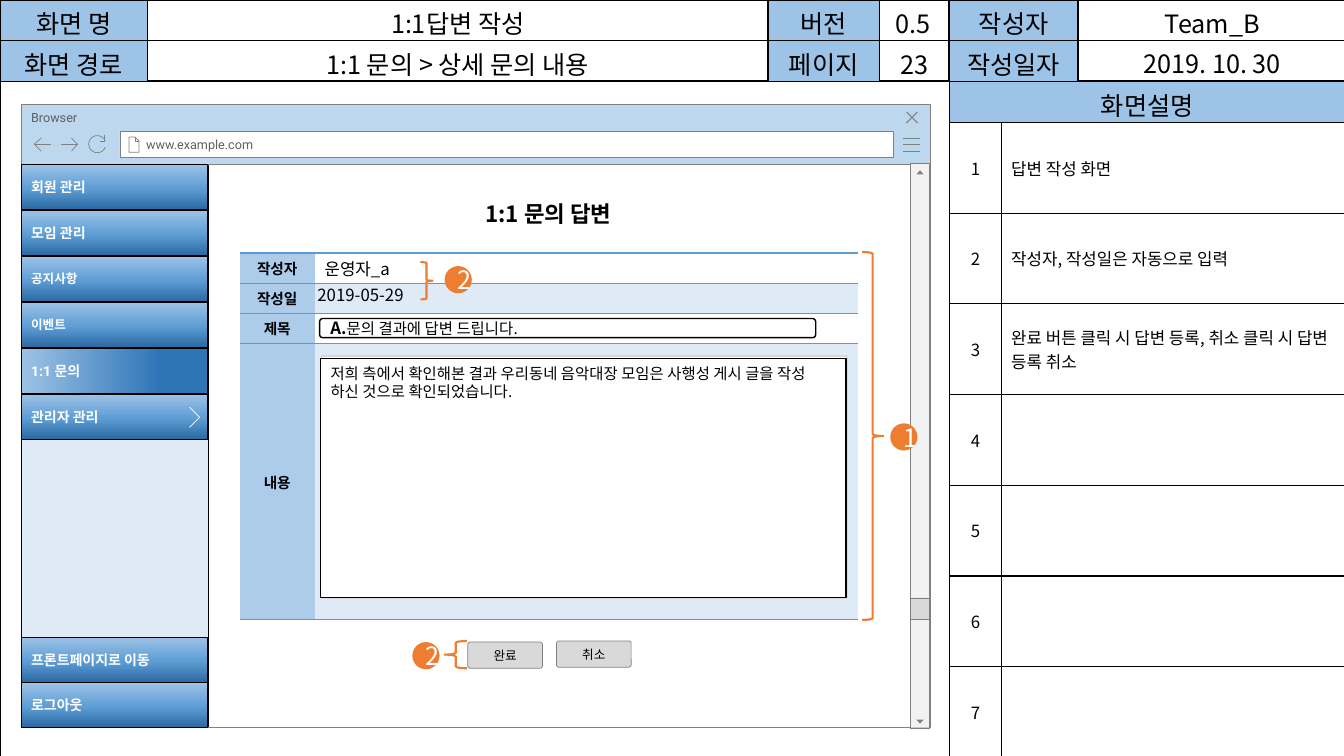
import math

from pptx import Presentation
from pptx.dml.color import RGBColor
from pptx.enum.shapes import MSO_SHAPE
from pptx.enum.text import MSO_ANCHOR, PP_ALIGN
from pptx.oxml import parse_xml
from pptx.oxml.ns import qn
from pptx.util import Inches, Pt

RECT, ROUND, OVAL = MSO_SHAPE.RECTANGLE, MSO_SHAPE.ROUNDED_RECTANGLE, MSO_SHAPE.OVAL
BRACE, TRIANGLE = MSO_SHAPE.LEFT_BRACE, MSO_SHAPE.ISOSCELES_TRIANGLE
LEFT, CENTER = PP_ALIGN.LEFT, PP_ALIGN.CENTER
TOP, MIDDLE = MSO_ANCHOR.TOP, MSO_ANCHOR.MIDDLE
NS = "http://schemas.openxmlformats.org/drawingml/2006/main"


class Theme:
    font, ui_font = "Noto Sans CJK KR", "Roboto"
    black, white, gray, ui_text = "000000", "FFFFFF", "808080", "5F5F5F"
    header, bar, pale, label = "9DC3E6", "BDD7EE", "DEEBF7", "ACCCEA"
    blue, orange, button, track = "5B9BD5", "ED7D31", "D9D9D9", "F2F2F2"
    menu_stops = [(0, "2A69A2"), (48, "609ED6"), (100, "9DC3E6")]
    active_stops = [(0, "2E75B6"), (25, "2E75B6"), (100, "9DC3E6")]
    heading, title, body, field, row_label, menu, small = 18, 16, 12, 11, 10.5, 10, 9


HEADER_COLS, HEADER_ROWS = [1.46, 6.16, 1.1, 0.7, 1.29, 2.65], [0.4, 0.4]
SPEC_COLS = [1.46, 6.16, 1.1, 0.7, 0.51, 0.76, 2.65]
SPEC_ROWS = [0.405] * 3 + [0.9] * 7
LABELS = [("화면 명", "버전", "작성자"), ("화면 경로", "페이지", "작성일자")]  # columns 0, 2, 4
PROJECT = [(0, 3, "0.5"), (0, 5, "Team_B"), (1, 5, "2019. 10. 30")]  # row, column, text
SCREEN = [(0, 1, "1:1답변 작성"), (1, 1, "1:1 문의 > 상세 문의 내용"), (1, 3, "23")]
NOTES_TITLE = "화면설명"
NOTES = ["답변 작성 화면", "작성자, 작성일은 자동으로 입력",
         "완료 버튼 클릭 시 답변 등록, 취소 클릭 시 답변 등록 취소", "", "", "", ""]
FORM_COLS, FORM_ROWS = [0.74, 5.39], [0.3, 0.3, 0.3, 2.74]
FORM = [("작성자", "운영자_a"), ("작성일", ""), ("제목", ""), ("내용", "")]
MENU = [("회원 관리", Theme.menu), ("모임 관리", Theme.menu), ("공지사항", Theme.small),
        ("이벤트", Theme.small), ("1:1 문의", Theme.menu), ("관리자 관리", Theme.menu)]
ACTIVE = "1:1 문의"
MENU_BOTTOM = ["프론트페이지로 이동", "로그아웃"]
BUTTONS = [("취소", 5.52, 6.36), ("완료", 4.64, 6.37)]
BRACES = [(8.55, 2.5, 0.21, 3.65, 180), (4.41, 6.36, 0.22, 0.27, 0), (4.17, 2.6, 0.12, 0.37, 180)]
MARKERS = [("2", 4.09, 6.37), ("2", 4.41, 2.64), ("1", 8.83, 4.2)]
ARC = [(0.965 + 0.085 * math.cos(math.radians(a)), 1.43 + 0.085 * math.sin(math.radians(a)))
       for a in range(20, 341, 16)]
ICONS = [  # line weight, strokes
    (0.5, [[(8.96, y), (9.13, y)] for y in (1.37, 1.43, 1.5)]),
    (0.75, [[(9.1, 1.11), (8.99, 1.22)], [(8.99, 1.11), (9.1, 1.22)]]),
    (0.5, [[(1.34, 1.36), (1.34, 1.4), (1.38, 1.4)],
           [(1.28, 1.36), (1.28, 1.51), (1.38, 1.51), (1.38, 1.4), (1.34, 1.36), (1.28, 1.36)]]),
    (0.5, [[(0.41, 1.5), (0.34, 1.43), (0.41, 1.37)], [(0.35, 1.43), (0.51, 1.43)]]),
    (0.5, [[(0.71, 1.37), (0.77, 1.43), (0.71, 1.5)], [(0.77, 1.43), (0.61, 1.43)]]),
    (0.5, [[(1.04, 1.34), (1.04, 1.4), (0.99, 1.4)], ARC]),
]


def rgb(color):
    return RGBColor.from_string(color)


def write(tf, runs, align=LEFT, color=Theme.black, font=Theme.font):
    """Fill the first paragraph with (text, size, bold) runs."""
    p = tf.paragraphs[0]
    p.alignment = align
    for text, size, bold in runs:
        r = p.add_run()
        r.text = text
        r.font.size, r.font.bold, r.font.name = Pt(size), bold, font
        r.font.color.rgb = rgb(color)
        r._r.get_or_add_rPr().find(qn("a:latin")).addnext(
            parse_xml(f'<a:ea xmlns:a="{NS}" typeface="{Theme.font}"/>'))


def style(sp, fill, line, weight):
    sp.shadow.inherit = False
    if fill:
        sp.fill.solid()
        sp.fill.fore_color.rgb = rgb(fill)
    else:
        sp.fill.background()
    if line:
        sp.line.color.rgb = rgb(line)
        sp.line.width = Pt(weight)
    else:
        sp.line.fill.background()


def add(s, kind, x, y, w, h, fill=None, line=None, weight=0.5, runs=(), anchor=MIDDLE,
        left=0.1, right=0.1, **text):
    sp = s.shapes.add_shape(kind, Inches(x), Inches(y), Inches(w), Inches(h))
    style(sp, fill, line, weight)
    if runs:
        tf = sp.text_frame
        tf.word_wrap, tf.vertical_anchor = True, anchor
        tf.margin_left, tf.margin_right = Inches(left), Inches(right)
        write(tf, runs, **text)
    return sp


def add_strokes(s, strokes, line, weight):
    paths = [[(Inches(x), Inches(y)) for x, y in stroke] for stroke in strokes]
    fb = s.shapes.build_freeform(*paths[0][0])
    for i, points in enumerate(paths):
        if i:
            fb.move_to(*points[0])
        fb.add_line_segments(points[1:], close=False)
    style(fb.convert_to_shape(), None, line, weight)


def add_grid(s, x, y, cols, rows, **borders):
    """Add a plain table; borders names a colour for each of L, R, T and B."""
    table = s.shapes.add_table(len(rows), len(cols), Inches(x), Inches(y),
                               Inches(sum(cols)), Inches(sum(rows))).table
    table.first_row = table.horz_banding = False
    for column, width in zip(table.columns, cols):
        column.width = Inches(width)
    for row, height in zip(table.rows, rows):
        row.height = Inches(height)
    for cell in table.iter_cells():
        cell.fill.background()
        cell.vertical_anchor = MIDDLE
        cell.margin_top = cell.margin_bottom = 0
        for i, side in enumerate("LRTB"):
            color = borders.get(side)
            paint = (f'<a:solidFill><a:srgbClr val="{color}"/></a:solidFill>'
                     if color else "<a:noFill/>")
            cell._tc.get_or_add_tcPr().insert(
                i, parse_xml(f'<a:ln{side} xmlns:a="{NS}" w="12700">{paint}</a:ln{side}>'))
    return table


def set_cell(cell, text, size, align=LEFT, fill=None, bold=False):
    if fill:
        cell.fill.solid()
        cell.fill.fore_color.rgb = rgb(fill)
    if size == Theme.heading:
        cell.margin_top = Inches(0.04)
    if text:
        write(cell.text_frame, [(text, size, bold)], align)
    else:
        cell.text_frame.paragraphs[0].font.size = Pt(size)


def add_heading_grid(s, x, cols, rows, values):
    """Add a black-ruled table whose first two rows hold the labels and the values."""
    table = add_grid(s, x, 0, cols, rows, **dict.fromkeys("LRTB", Theme.black))
    for r, names in enumerate(LABELS):
        for i, name in enumerate(names):
            set_cell(table.cell(r, 2 * i), name, Theme.heading, CENTER, Theme.header)
    for r, c, text in values:
        set_cell(table.cell(r, c), text, Theme.heading, CENTER)
    return table


def add_menu_item(s, text, size, y):
    sp = add(s, RECT, 0.21, y, 1.85, 0.45, Theme.blue, Theme.black, right=0.25,
             runs=[(text, size, True)], color=Theme.white, font=Theme.ui_font)
    stops, angle = (Theme.active_stops, 180) if text == ACTIVE else (Theme.menu_stops, 270)
    gs = "".join(f'<a:gs pos="{p * 1000}"><a:srgbClr val="{c}"/></a:gs>' for p, c in stops)
    spPr = sp._element.spPr
    spPr.replace(spPr.find(qn("a:solidFill")), parse_xml(
        f'<a:gradFill xmlns:a="{NS}"><a:gsLst>{gs}</a:gsLst>'
        f'<a:lin ang="{angle * 60000}" scaled="0"/></a:gradFill>'))


def add_spec_tables(s):
    add_heading_grid(s, -0.01, HEADER_COLS, HEADER_ROWS, PROJECT)
    table = add_heading_grid(s, 0, SPEC_COLS, SPEC_ROWS, SCREEN)
    merges = [(0, 4, 0, 5), (1, 4, 1, 5), (2, 0, 9, 3), (2, 4, 2, 6)]
    merges += [(r, 5, r, 6) for r in range(3, 10)]
    for r1, c1, r2, c2 in merges:
        table.cell(r1, c1).merge(table.cell(r2, c2))
    set_cell(table.cell(2, 4), NOTES_TITLE, Theme.heading, CENTER, Theme.header)
    for i, note in enumerate(NOTES):
        set_cell(table.cell(i + 3, 4), str(i + 1), Theme.body, CENTER)
        set_cell(table.cell(i + 3, 5), note, Theme.body)


def add_browser(s):
    t = Theme
    add(s, RECT, 0.21, 1.62, 9.02, 5.6, t.white, t.gray)
    add(s, RECT, 0.21, 1.04, 9.02, 0.59, t.bar, t.gray, runs=[("Browser", t.small, False)],
        anchor=TOP, color=t.ui_text, font=t.ui_font)
    add(s, RECT, 1.19, 1.3, 7.67, 0.26, t.white, t.gray, left=0.26,
        runs=[("www.example.com", t.small, False)], color=t.ui_text, font=t.ui_font)
    for weight, strokes in ICONS:
        add_strokes(s, strokes, t.gray, weight)


def add_form(s):
    t = Theme
    table = add_grid(s, 2.38, 2.51, FORM_COLS, FORM_ROWS, T=t.blue, B=t.blue)
    for r, (name, value) in enumerate(FORM):
        set_cell(table.cell(r, 0), name, t.row_label, CENTER, t.label, True)
        set_cell(table.cell(r, 1), value, t.body, fill=t.pale if r % 2 else None)
    for text, x, y in BUTTONS:
        sp = add(s, ROUND, x, y, 0.74, 0.26, t.button, t.gray, runs=[(text, t.small, False)],
                 align=CENTER, font=t.ui_font)
        sp.adjustments[0] = 0.088
    add(s, RECT, 3.19, 3.53, 5.21, 2.41, t.white, t.button, 1)
    add(s, ROUND, 4.42, 1.95, 2.04, 0.34, runs=[("1:1 문의 답변", t.title, True)], align=CENTER)
    add(s, ROUND, 3.17, 3.16, 4.92, 0.19, t.white, t.black, 1,
        runs=[("A.", t.body, True), ("문의 결과에 답변 드립니다.", t.field, False)])
    tb = s.shapes.add_textbox(Inches(3.05), Inches(2.78), Inches(1.52), Inches(0.3))
    tb.text_frame.word_wrap = True
    write(tb.text_frame, [("2019-05-29", t.body, False)])
    add(s, RECT, 3.18, 3.56, 5.21, 2.37, t.white, t.black, 1, anchor=TOP, runs=[(
        "저희 측에서 확인해본 결과 우리동네 음악대장 모임은 사행성 게시 글을 작성 하신 것으로 확인되었습니다.",
        t.field, False)])


def add_scrollbar(s):
    add(s, RECT, 9.03, 1.62, 0.19, 5.6, Theme.track, Theme.gray, 0.25)
    add(s, RECT, 9.03, 5.93, 0.19, 0.21, Theme.button, Theme.gray, 0.25)
    for y, turn in ((1.69, 0), (7.14, 180)):
        add(s, TRIANGLE, 9.09, y, 0.07, 0.04, Theme.gray).rotation = turn


def add_callouts(s):
    for x, y, w, h, turn in BRACES:
        add(s, BRACE, x, y, w, h, None, Theme.orange, 1.5).rotation = turn
    for number, x, y in MARKERS:
        add(s, OVAL, x, y, 0.27, 0.27, Theme.orange, runs=[(number, Theme.heading, False)],
            align=CENTER, color=Theme.white)


def add_sidebar(s):
    add(s, RECT, 0.21, 1.64, 1.86, 5.57, Theme.pale, Theme.black)
    for i, (text, size) in enumerate(MENU):
        add_menu_item(s, text, size, 1.63 + i * 0.456)
    for i, text in enumerate(MENU_BOTTOM):
        add_menu_item(s, text, Theme.menu, 6.32 + i * 0.45)
    add_strokes(s, [[(1.88, 4.04), (1.98, 4.14), (1.88, 4.24)]], Theme.white, 0.5)


def main():
    prs = Presentation()
    prs.slide_width, prs.slide_height = Inches(13.33), Inches(7.5)
    s = prs.slides.add_slide(prs.slide_layouts[6])
    for build in (add_spec_tables, add_browser, add_form, add_scrollbar, add_callouts, add_sidebar):
        build(s)
    prs.save("out.pptx")


if __name__ == "__main__":
    main()
